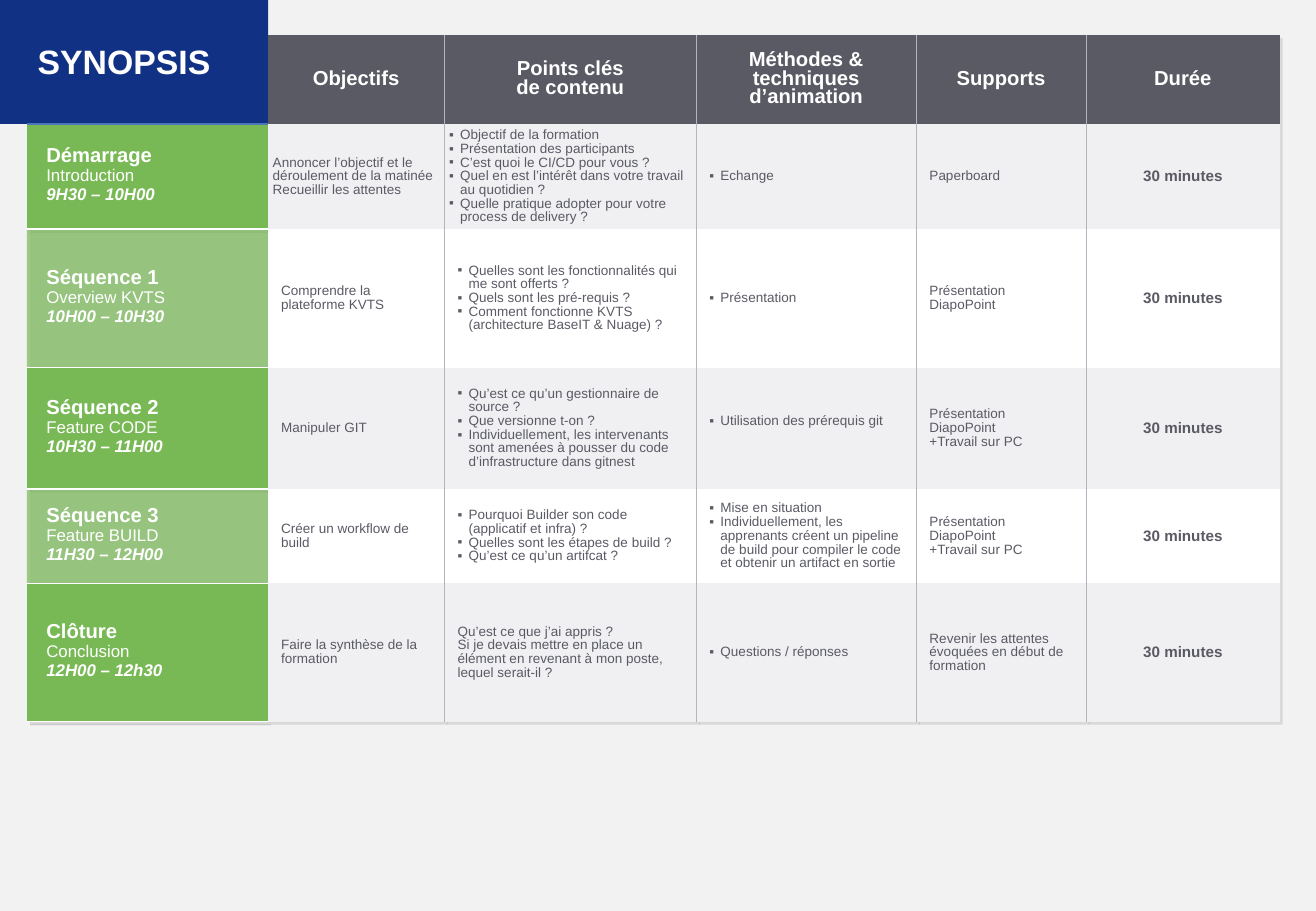
from dataclasses import dataclass

from lxml import etree
from pptx import Presentation
from pptx.dml.color import RGBColor
from pptx.enum.text import MSO_ANCHOR, MSO_AUTO_SIZE, PP_ALIGN
from pptx.oxml.ns import qn
from pptx.util import Pt

LEFT, CENTER = PP_ALIGN.LEFT, PP_ALIGN.CENTER
MIDDLE = MSO_ANCHOR.MIDDLE
NO_FIT = MSO_AUTO_SIZE.NONE
PLAIN_GRID = "{2D5ABB26-0587-4C30-8999-92F81FD0307C}"


@dataclass(frozen=True)
class Theme:
    font: str = "Arial"
    page: str = "F2F2F2"
    navy: str = "103184"
    slate: str = "5A5A65"
    green: str = "78B955"
    pale: str = "F0F0F2"
    white: str = "FFFFFF"
    rule: str = "B4B4BE"
    blue: str = "4B78B9"
    title: float = 20
    head: float = 12
    sub: float = 10
    time: float = 9
    body: float = 8


# Table content: a list is bulleted, a string is plain paragraphs
HEADS = ["", "Objectifs", "Points clés\vde contenu",
         "Méthodes & techniques d’animation", "Supports", "Durée"]
WIDTHS = [142.8, 104.6, 149.3, 130.4, 100.7, 114.7]
HEIGHTS = [52.6, 62.4, 82, 72, 56, 82]
DECK = "Présentation DiapoPoint"
ROWS = [
    ["Démarrage\nIntroduction\n9H30 – 10H00",
     "Annoncer l’objectif et le déroulement de la matinée\nRecueillir les attentes",
     ["Objectif de la formation",
      "Présentation des participants",
      "C’est quoi le CI/CD pour vous ?",
      "Quel en est l’intérêt dans votre travail au quotidien ?",
      "Quelle pratique adopter pour votre process de delivery ?"],
     ["Echange"],
     "Paperboard"],
    ["Séquence 1\nOverview KVTS\n10H00 – 10H30",
     "Comprendre la plateforme KVTS",
     ["Quelles sont les fonctionnalités qui me sont offerts ?",
      "Quels sont les pré-requis ?",
      "Comment fonctionne KVTS (architecture BaseIT & Nuage) ?"],
     ["Présentation"],
     DECK],
    ["Séquence 2\nFeature CODE\n10H30 – 11H00",
     "Manipuler GIT",
     ["Qu’est ce qu’un gestionnaire de source ?",
      "Que versionne t-on ?",
      "Individuellement, les intervenants sont amenées à pousser du code "
      "d’infrastructure dans gitnest"],
     ["Utilisation des prérequis git"],
     DECK + "\n+Travail sur PC"],
    ["Séquence 3\nFeature BUILD\n11H30 – 12H00",
     "Créer un workflow de build",
     ["Pourquoi Builder son code (applicatif et infra) ?",
      "Quelles sont les étapes de build ?",
      "Qu’est ce qu’un artifcat ?"],
     ["Mise en situation",
      "Individuellement, les apprenants créent un pipeline de build pour "
      "compiler le code et obtenir un artifact en sortie"],
     DECK + "\n+Travail sur PC"],
    ["Clôture\nConclusion\n12H00 – 12h30",
     "Faire la synthèse de la formation",
     "Qu’est ce que j’ai appris ?\nSi je devais mettre en place un élément "
     "en revenant à mon poste, lequel serait-il ?",
     ["Questions / réponses"],
     "Revenir les attentes évoquées en début de formation"],
]
LENGTH = "30 minutes"

# Cell margins: left, top, right, bottom
WIDE = (7.9, 3.6, 7.9, 3.6)
TIGHT = (2.9, 0, 2.9, 0)
LABEL = (11.5, 2.9, 5.8, 5.8)
RAISED = (7.9, 3.6, 7.9, 12)
MARGINS = {(1, 1): TIGHT, (1, 2): TIGHT, (3, 3): RAISED}


def add(parent, tag, **attrs):
    node = etree.SubElement(parent, qn(tag))
    for key, value in attrs.items():
        node.set(key, str(value))
    return node


class Board:
    def __init__(self, deck, theme):
        self.theme = theme
        self.slide = deck.slides.add_slide(deck.slide_layouts[5])
        self.paint(self.slide.background.fill, theme.page)

    def paint(self, fill, color):
        fill.solid()
        fill.fore_color.rgb = RGBColor.from_string(color)

    def style(self, para, size, color, bold=False, italic=False, align=LEFT, line=1.0):
        para.alignment = align
        para.line_spacing = line
        for run in para.runs:
            font = run.font
            font.name, font.size = self.theme.font, Pt(size)
            font.bold, font.italic = bold, italic
            font.color.rgb = RGBColor.from_string(color)

    def inset(self, box, margins):
        (box.margin_left, box.margin_top,
         box.margin_right, box.margin_bottom) = map(Pt, margins)

    def title(self, text, width, height):
        shape = self.slide.shapes.title
        shape.left, shape.top = Pt(0), Pt(0)
        shape.width, shape.height = Pt(width), Pt(height)
        self.paint(shape.fill, self.theme.navy)
        frame = shape.text_frame
        frame.text = text
        frame.auto_size, frame.vertical_anchor = NO_FIT, MIDDLE
        self.inset(frame, (22.3, 17.3, 7.2, 14.4))
        self.style(frame.paragraphs[0], self.theme.title, self.theme.white, True, line=0.8)

    def table(self, left, top, widths, heights):
        table = self.slide.shapes.add_table(
            len(heights), len(widths), Pt(left), Pt(top),
            Pt(sum(widths)), Pt(sum(heights))).table
        for col, width in zip(table.columns, widths):
            col.width = Pt(width)
        for row, height in zip(table.rows, heights):
            row.height = Pt(height)
        table.first_row = table.horz_banding = False
        props = table._tbl.tblPr
        props.find(qn("a:tableStyleId")).text = PLAIN_GRID
        # Soft shadow below and right of the table
        effects = add(props, "a:effectLst")
        props.insert(0, effects)
        shade = add(effects, "a:outerShdw", blurRad=0, dist=int(Pt(2.5)),
                    dir=2700000, algn="tl", rotWithShape=0)
        add(add(shade, "a:srgbClr", val="000000"), "a:alpha", val=10000)
        return table

    def cell(self, cell, text, fill, margins, alpha=None):
        cell.text_frame.text = "\n".join(text) if isinstance(text, list) else text
        cell.vertical_anchor = MIDDLE
        self.inset(cell, margins)
        self.paint(cell.fill, fill)
        if alpha:
            color = cell._tc.tcPr.find(".//" + qn("a:srgbClr"))
            add(color, "a:alpha", val=alpha * 1000)
        return cell.text_frame.paragraphs

    def bullet(self, para):
        props = para._p.get_or_add_pPr()
        props.set("marL", str(int(Pt(6.5))))
        props.set("indent", str(-int(Pt(6.5))))
        add(props, "a:buFont", typeface=self.theme.font)
        add(props, "a:buChar", char="▪")

    def border(self, cell, **sides):
        props = cell._tc.get_or_add_tcPr()
        edges = [side for side in "LRTB" if side in sides]
        for spot, side in enumerate(edges):
            color, width = sides[side]
            line = add(props, "a:ln" + side, w=int(Pt(width)))
            add(add(line, "a:solidFill"), "a:srgbClr", val=color)
            props.insert(spot, line)


def main():
    deck = Presentation()
    deck.slide_width, deck.slide_height = Pt(780), Pt(540)
    theme = Theme()
    board = Board(deck, theme)
    board.title("SYNOPSIS", 159, 73.5)
    grid = board.table(16, 20.9, WIDTHS, HEIGHTS)

    # Header row
    for col, text in enumerate(HEADS[1:], 1):
        para = board.cell(grid.cell(0, col), text, theme.slate, (7.2, 3.6, 7.2, 3.6))[0]
        board.style(para, theme.head, theme.white, True, align=CENTER, line=0.8)

    for row, (label, *texts) in enumerate(ROWS, 1):
        # Green label
        odd = row % 2
        paras = board.cell(grid.cell(row, 0), label, theme.green, LABEL, None if odd else 70)
        board.style(paras[0], theme.head, theme.white, True)
        board.style(paras[1], theme.sub, theme.white)
        board.style(paras[2], theme.sub, theme.white, True, True)

        # Details
        back = theme.pale if odd else theme.white
        for col, text in enumerate(texts, 1):
            margins = MARGINS.get((row, col), WIDE)
            for para in board.cell(grid.cell(row, col), text, back, margins):
                board.style(para, theme.body, theme.slate, line=0.9)
                if isinstance(text, list):
                    board.bullet(para)

        # Duration
        para = board.cell(grid.cell(row, 5), LENGTH, back, WIDE)[0]
        board.style(para, theme.time, theme.slate, True, align=CENTER)

    # Rules between rows of labels and between columns
    rule, blue, white = (theme.rule, 0.5), (theme.blue, 1), (theme.white, 1)
    board.border(grid.cell(0, 0), B=blue)
    for row in range(len(HEIGHTS)):
        if row:
            board.border(grid.cell(row, 0), T=blue if row == 1 else white, B=white)
        board.border(grid.cell(row, 1), R=rule)
        for col in range(2, 5):
            board.border(grid.cell(row, col), L=rule, R=rule)
        board.border(grid.cell(row, 5), L=rule)

    deck.save("out.pptx")


if __name__ == "__main__":
    main()
